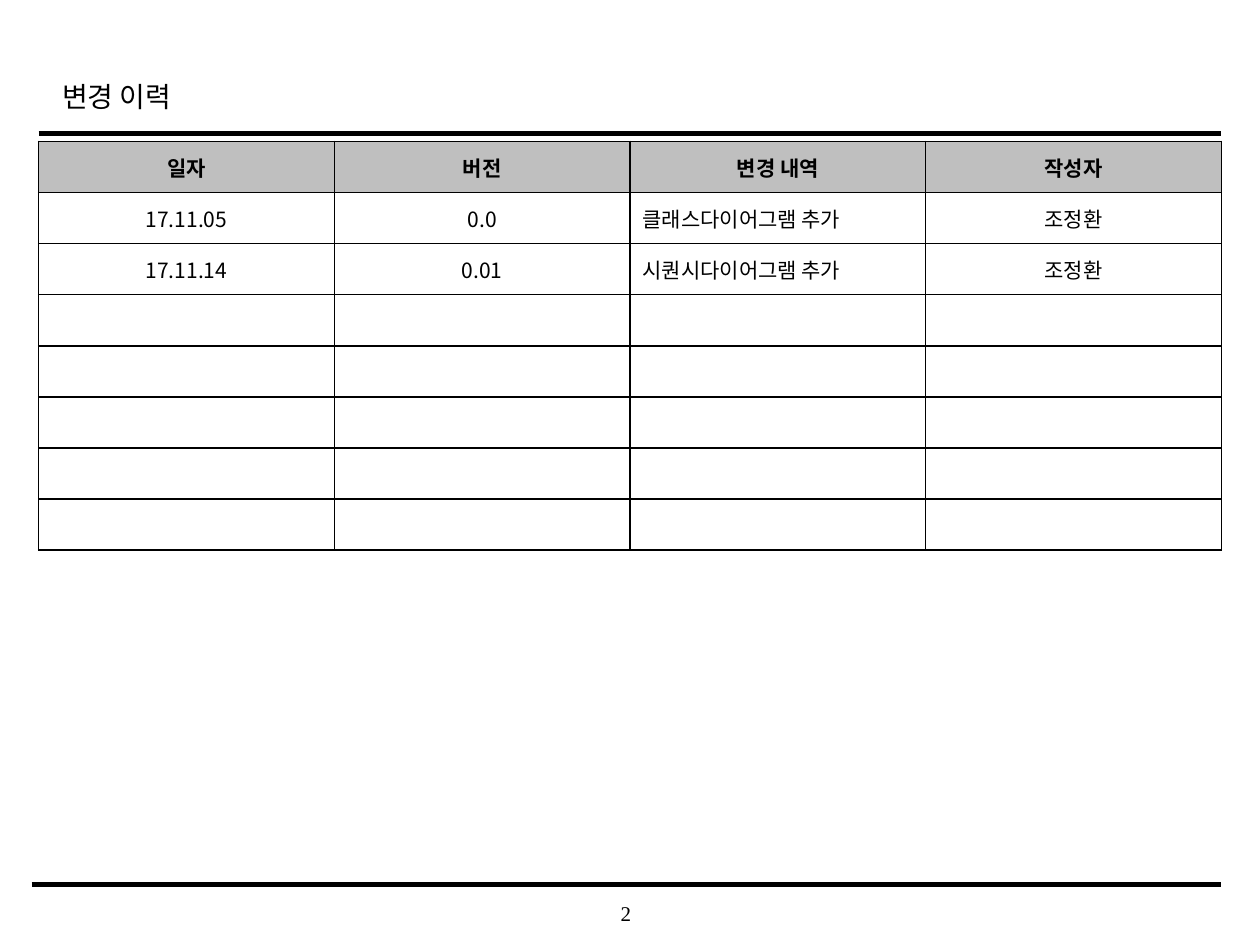
from dataclasses import dataclass

from lxml.etree import SubElement
from pptx import Presentation
from pptx.dml.color import RGBColor
from pptx.enum.shapes import MSO_CONNECTOR as Connector
from pptx.enum.text import MSO_ANCHOR as Anchor, PP_ALIGN as Align
from pptx.oxml.ns import qn
from pptx.util import Cm, Pt


@dataclass(frozen=True)
class Theme:
    ink: RGBColor = RGBColor(0x00, 0x00, 0x00)
    paper: RGBColor = RGBColor(0xFF, 0xFF, 0xFF)
    header: RGBColor = RGBColor(0xBF, 0xBF, 0xBF)
    serif: str = "Times New Roman"
    sans: str = "Noto Sans CJK KR"
    title_size: Pt = Pt(16)
    body_size: Pt = Pt(12)
    border: Pt = Pt(1)


def apply(target, values):
    for name, value in values.items():
        setattr(target, name, value)


class SlideBuilder:
    def __init__(self, deck, theme):
        self.theme = theme
        self.page = deck.slides.add_slide(deck.slide_layouts[5])

    def add_span(self, para, text, font, size, bold=False):
        span = para.add_run()
        span.text = text
        apply(span.font, {"name": font, "size": size, "bold": bold})
        span.font.color.rgb = self.theme.ink
        SubElement(span.font._element, qn("a:ea"), typeface=self.theme.sans)

    def title(self, text, left, top, width, height):
        box = self.page.shapes.title
        apply(box, {"left": left, "top": top, "width": width, "height": height})
        apply(box.text_frame, {"vertical_anchor": Anchor.MIDDLE, "word_wrap": True})
        para = box.text_frame.paragraphs[0]
        apply(para, {"alignment": Align.LEFT, "line_spacing": 1.2})
        self.add_span(para, text, self.theme.serif, self.theme.title_size)

    def text(self, text, left, top, width, height):
        box = self.page.shapes.add_textbox(left, top, width, height)
        margins = {f"margin_{side}": 0 for side in ("left", "right", "top", "bottom")}
        apply(box.text_frame, {"word_wrap": True, "vertical_anchor": Anchor.MIDDLE, **margins})
        para = box.text_frame.paragraphs[0]
        para.alignment = Align.CENTER
        self.add_span(para, text, self.theme.serif, self.theme.body_size)

    def rule(self, left, right, top, weight):
        line = self.page.shapes.add_connector(Connector.STRAIGHT, left, top, right, top)
        line.line.color.rgb = self.theme.ink
        line.line.width = weight
        SubElement(line._element.spPr, qn("a:effectLst"))

    def borders(self, cell):
        properties = cell._tc.get_or_add_tcPr()
        for side in ("lnL", "lnR", "lnT", "lnB"):
            edge = SubElement(properties, qn(f"a:{side}"), w=str(int(self.theme.border)))
            fill = SubElement(edge, qn("a:solidFill"))
            SubElement(fill, qn("a:srgbClr"), val=str(self.theme.ink))

    def cell(self, cell, text, is_header, alignment):
        self.borders(cell)
        cell.fill.solid()
        cell.fill.fore_color.rgb = self.theme.header if is_header else self.theme.paper
        cell.vertical_anchor = Anchor.MIDDLE
        para = cell.text_frame.paragraphs[0]
        para.alignment = alignment
        if text:
            self.add_span(para, text, self.theme.sans, self.theme.body_size, is_header)
        else:
            size = str(int(self.theme.body_size.pt * 100))
            SubElement(para._p, qn("a:endParaRPr"), sz=size)

    def table(self, records, row_count, left_column, left, top, column_width, row_height):
        column_count = len(records[0])
        table = self.page.shapes.add_table(
            row_count, column_count, left, top,
            column_width * column_count, row_height * row_count).table
        for column in table.columns:
            column.width = column_width
        for row_index, row in enumerate(table.rows):
            row.height = row_height
            record = records[row_index] if row_index < len(records) else [""] * column_count
            for column_index, text in enumerate(record):
                is_header = row_index == 0
                is_left = column_index == left_column and not is_header
                self.cell(table.cell(row_index, column_index), text, is_header,
                          Align.LEFT if is_left else Align.CENTER)


HISTORY = [
    ["일자", "버전", "변경 내역", "작성자"],
    ["17.11.05", "0.0", "클래스다이어그램 추가", "조정환"],
    ["17.11.14", "0.01", "시퀀시다이어그램 추가", "조정환"],
]

deck = Presentation()
apply(deck, {"slide_width": Cm(25.4), "slide_height": Cm(19.05)})
slide = SlideBuilder(deck, Theme())
slide.text("2", Cm(9.98), Cm(17.98), Cm(5.28), Cm(0.84))
slide.rule(Cm(0.78), Cm(24.62), Cm(2.69), Pt(2.5))
slide.rule(Cm(0.64), Cm(24.62), Cm(17.83), Pt(3))
slide.title("변경 이력", Cm(1), Cm(1.24), Cm(19.18), Cm(1.27))
slide.table(HISTORY, 8, 2, Cm(0.78), Cm(2.85), Cm(5.96), Cm(1.03))
deck.save("out.pptx")
